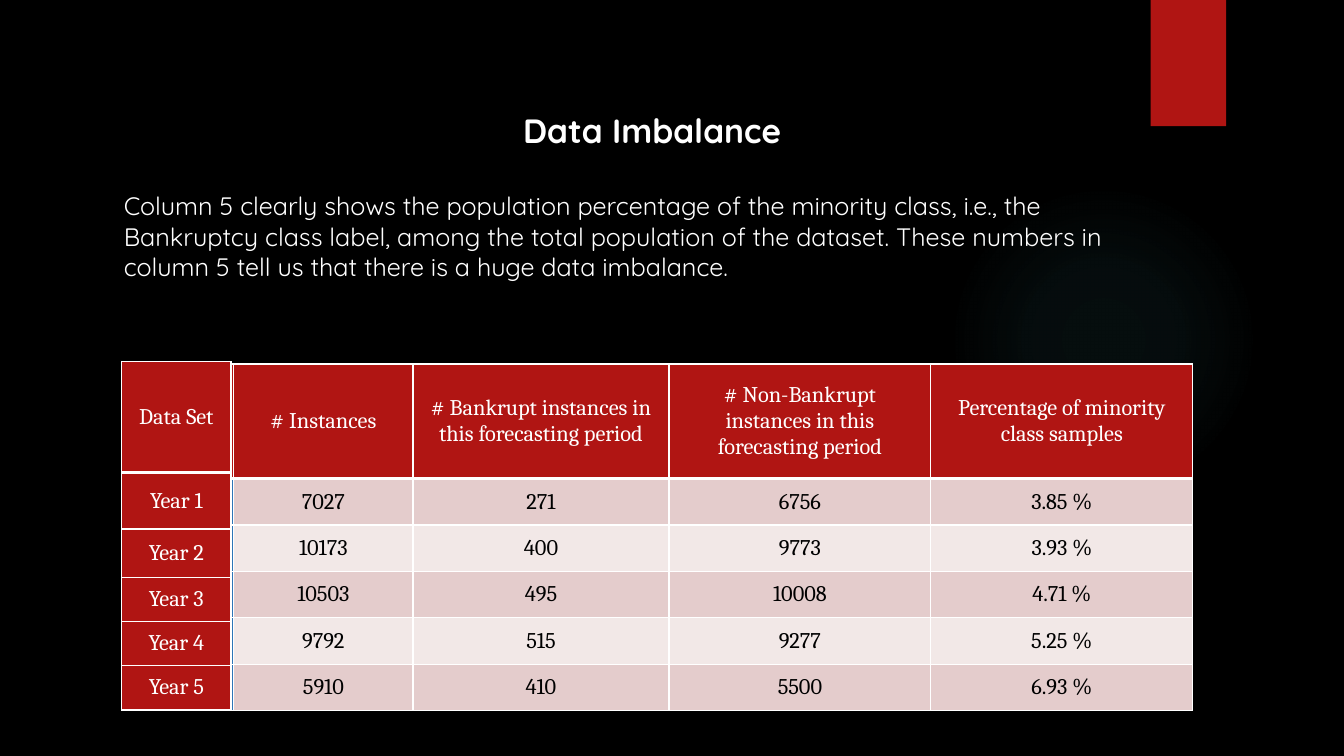
from lxml.etree import SubElement
from pptx import Presentation
from pptx.dml.color import RGBColor
from pptx.enum.shapes import MSO_SHAPE
from pptx.enum.text import MSO_ANCHOR, PP_ALIGN
from pptx.oxml import parse_xml
from pptx.oxml.ns import nsdecls, qn
from pptx.util import Cm, Pt

COLOURS = {
    "background": "000000",
    "red": "B01513",
    "blue": "2E75B6",
    "rose": "E4CCCC",
    "pale": "F2E8E7",
    "white": "FFFFFF",
    "black": "000000",
    "glow": "50B9C1",
}


class SlideBuilder:
    body_font = "Quicksand"
    table_font = "Cambria"

    def __init__(self, slide):
        self.slide = slide
        self.paint(slide.background.fill, "background")

    def paint(self, fill, colour):
        fill.solid()
        fill.fore_color.rgb = RGBColor.from_string(COLOURS[colour])

    def shape(self, kind, left, top, width, height, colour):
        shape = self.slide.shapes.add_shape(
            kind, Cm(left), Cm(top), Cm(width), Cm(height))
        shape.shadow.inherit = False
        shape.line.fill.background()
        self.paint(shape.fill, colour)
        return shape

    def glow(self, left, top, size, stops):
        """Circle that fades out; stops are (position, opacity) in percent."""
        circle = self.shape(MSO_SHAPE.OVAL, left, top, size, size, "glow")
        marks = "".join(
            f'<a:gs pos="{position * 1000}"><a:srgbClr val="{COLOURS["glow"]}">'
            f'<a:alpha val="{opacity * 1000}"/></a:srgbClr></a:gs>'
            for position, opacity in stops)
        gradient = parse_xml(
            f'<a:gradFill {nsdecls("a")}><a:gsLst>{marks}</a:gsLst>'
            '<a:path path="circle"><a:fillToRect l="50000" t="50000" '
            'r="50000" b="50000"/></a:path></a:gradFill>')
        properties = circle.element.spPr
        properties.replace(properties.find(qn("a:solidFill")), gradient)

    def run(self, paragraph, text, font, size, colour, bold=False):
        run = paragraph.add_run()
        run.text = text
        run.font.name = font
        run.font.size = Pt(size)
        run.font.bold = bold
        run.font.color.rgb = RGBColor.from_string(COLOURS[colour])

    def text(self, left, top, width, height, title, body):
        frame = self.slide.shapes.add_textbox(
            Cm(left), Cm(top), Cm(width), Cm(height)).text_frame
        frame.word_wrap = True
        heading = frame.paragraphs[0]
        heading.alignment = PP_ALIGN.CENTER
        self.run(heading, title, self.body_font, 24, "white", bold=True)
        explanation = frame.add_paragraph()
        explanation.space_before = Pt(29)
        self.run(explanation, body, self.body_font, 18, "white")

    def borders(self, cell, is_header):
        properties = cell._tc.get_or_add_tcPr()
        for index, side in enumerate(("lnL", "lnR", "lnT", "lnB")):
            width = 3 if is_header and side == "lnB" else 1
            line = parse_xml(f'<a:{side} {nsdecls("a")} w="{Pt(width)}"/>')
            fill = SubElement(line, qn("a:solidFill"))
            SubElement(fill, qn("a:srgbClr"), val=COLOURS["white"])
            properties.insert(index, line)

    def table(self, left, top, widths, heights, rows, style_of):
        """style_of(row, column) gives the fill and text colours of a cell."""
        table = self.slide.shapes.add_table(
            len(rows), len(widths), Cm(left), Cm(top),
            Cm(sum(widths)), Cm(sum(heights))).table
        table.first_row = table.horz_banding = False
        for column, width in zip(table.columns, widths):
            column.width = Cm(width)
        for r, (values, height) in enumerate(zip(rows, heights)):
            table.rows[r].height = Cm(height)
            for c, value in enumerate(values):
                cell = table.cell(r, c)
                fill, ink = style_of(r, c)
                self.paint(cell.fill, fill)
                self.borders(cell, is_header=r == 0)
                cell.vertical_anchor = MSO_ANCHOR.MIDDLE
                if c == 0:
                    cell.margin_left = cell.margin_right = Cm(0.18)
                    cell.margin_top = cell.margin_bottom = 0
                if value:
                    paragraph = cell.text_frame.paragraphs[0]
                    paragraph.alignment = PP_ALIGN.CENTER
                    self.run(paragraph, value, self.table_font, 16, ink)


def counts_style(row, column):
    if row == 0:
        return "red", "white"
    if column == 0:
        return "blue", "black"
    return ("rose" if row % 2 else "pale"), "black"


def main():
    deck = Presentation()
    deck.slide_width, deck.slide_height = Cm(33.87), Cm(19.05)
    page = SlideBuilder(deck.slides.add_slide(deck.slide_layouts[6]))

    # Backdrop
    page.glow(23.9, 4.65, 7.82, [(0, 7), (36, 6), (69, 0)])
    page.shape(MSO_SHAPE.RECTANGLE, 29, 0, 1.9, 3.18, "red")

    # Counts per data set; the year labels lie over the first column
    counts = [
        ("", "# Instances", "# Bankrupt instances in this forecasting period",
         "# Non-Bankrupt instances in this forecasting period",
         "Percentage of minority class samples"),
        ("", "7027", "271", "6756", "3.85 %"),
        ("", "10173", "400", "9773", "3.93 %"),
        ("", "10503", "495", "10008", "4.71 %"),
        ("", "9792", "515", "9277", "5.25 %"),
        ("", "5910", "410", "5500", "6.93 %"),
    ]
    page.table(3.07, 9.17, [2.82, 4.52, 6.45, 6.6, 6.6],
               [2.89] + [1.17] * 5, counts, counts_style)

    # Year labels
    years = [("Data Set",)] + [(f"Year {year}",) for year in range(1, 6)]
    page.table(3.07, 9.11, [2.75], [2.8, 1.42, 1.22] + [1.11] * 3, years,
               lambda row, column: ("red", "white"))

    # Title and explanation
    page.text(
        2.87, 2.64, 27.13, 4.62, "Data Imbalance",
        "Column 5 clearly shows the population percentage of the minority "
        "class, i.e., the Bankruptcy class label, among the total population "
        "of the dataset. These numbers in column 5 tell us that there is a "
        "huge data imbalance.")

    deck.save("out.pptx")


if __name__ == "__main__":
    main()
